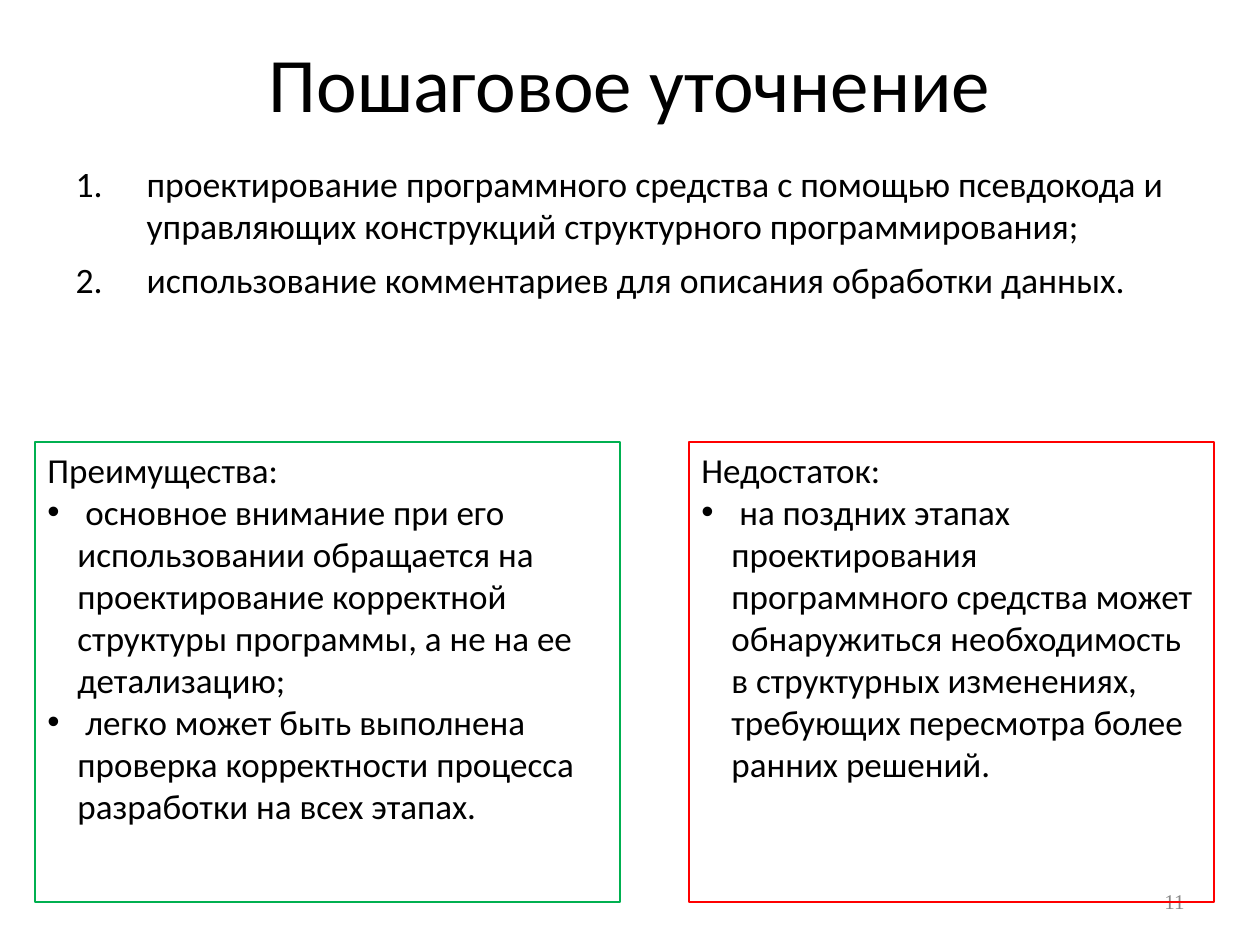
from lxml.etree import SubElement
from pptx import Presentation
from pptx.dml.color import RGBColor
from pptx.enum.shapes import MSO_SHAPE
from pptx.enum.text import MSO_ANCHOR, MSO_AUTO_SIZE, PP_ALIGN
from pptx.oxml.ns import qn
from pptx.util import Inches, Pt

PX = Inches(1) / 126
BLACK = RGBColor(0x00, 0x00, 0x00)
GREY = RGBColor(0x89, 0x89, 0x89)
GREEN = RGBColor(0x00, 0xB0, 0x50)
RED = RGBColor(0xFF, 0x00, 0x00)

STEPS = [
    "проектирование программного средства с помощью псевдокода и "
    "управляющих конструкций структурного программирования;",
    "использование комментариев для описания обработки данных.",
]
ADVANTAGES = [
    " основное внимание при его использовании обращается на проектирование "
    "корректной структуры программы, а не на ее детализацию;",
    " легко может быть выполнена проверка корректности процесса разработки "
    "на всех этапах.",
]
DRAWBACKS = [
    " на поздних этапах проектирования программного средства может "
    "обнаружиться необходимость в структурных изменениях, требующих "
    "пересмотра более ранних решений.",
]


def px(*lengths):
    return [round(length * PX) for length in lengths]


def place(sp, box):
    sp.left, sp.top, sp.width, sp.height = px(*box)


def style(p, size, color=BLACK, font="Calibri", align=PP_ALIGN.LEFT):
    p.alignment = align
    for r in p.runs:
        r.font.size = Pt(size)
        r.font.name = font
        r.font.color.rgb = color


def add_marker(p, indent, tag, **attrs):
    """Give a paragraph a hanging indent and a bullet or number."""
    pPr = p._p.get_or_add_pPr()
    [hang] = px(indent)
    pPr.set("marL", str(hang))
    pPr.set("indent", str(-hang))
    SubElement(pPr, qn("a:buFont"), typeface="Arial" if tag == "a:buChar" else "Calibri")
    SubElement(pPr, qn(tag), **attrs)


def set_title(s, text, box):
    sp = s.shapes.title
    place(sp, box)
    tf = sp.text_frame
    tf.text = text
    tf.auto_size = MSO_AUTO_SIZE.NONE
    tf.vertical_anchor = MSO_ANCHOR.MIDDLE
    style(tf.paragraphs[0], 44, align=PP_ALIGN.CENTER)


def set_numbered_list(s, items, box):
    sp = s.placeholders[1]
    place(sp, box)
    tf = sp.text_frame
    tf.text = "\n".join(items)
    tf.auto_size = MSO_AUTO_SIZE.NONE
    for i, p in enumerate(tf.paragraphs):
        p.space_before = Pt(6 if i else 0)
        add_marker(p, 71, "a:buAutoNum", type="arabicPeriod")
        style(p, 20.4)


def add_slide_number(s, text, box):
    tf = s.shapes.add_textbox(*px(*box)).text_frame
    tf.word_wrap = True
    tf.vertical_anchor = MSO_ANCHOR.MIDDLE
    tf.text = text
    style(tf.paragraphs[0], 12, GREY, "Times New Roman", PP_ALIGN.RIGHT)


def add_panel(s, heading, items, box, color):
    """Outlined box with a heading line and bullets below it."""
    sp = s.shapes.add_shape(MSO_SHAPE.RECTANGLE, *px(*box))
    sp.shadow.inherit = False
    sp.fill.background()
    sp.line.color.rgb = color
    sp.line.width = Pt(0.75)
    tf = sp.text_frame
    tf.word_wrap = True
    tf.vertical_anchor = MSO_ANCHOR.TOP
    tf.text = "\n".join([heading, *items])
    for i, p in enumerate(tf.paragraphs):
        if i:
            add_marker(p, 30, "a:buChar", char="•")
        style(p, 20)


def main():
    prs = Presentation()
    prs.slide_width, prs.slide_height = Inches(10), Inches(7.5)
    s = prs.slides.add_slide(prs.slide_layouts[1])
    set_title(s, "Пошаговое уточнение", (63, 38, 1134, 87))
    set_numbered_list(s, STEPS, (63, 155, 1134, 208))
    add_slide_number(s, "11", (903, 876, 294, 50))
    add_panel(s, "Преимущества:", ADVANTAGES, (35, 442, 585, 460), GREEN)
    add_panel(s, "Недостаток:", DRAWBACKS, (689, 442, 525, 460), RED)
    prs.save("out.pptx")


if __name__ == "__main__":
    main()
